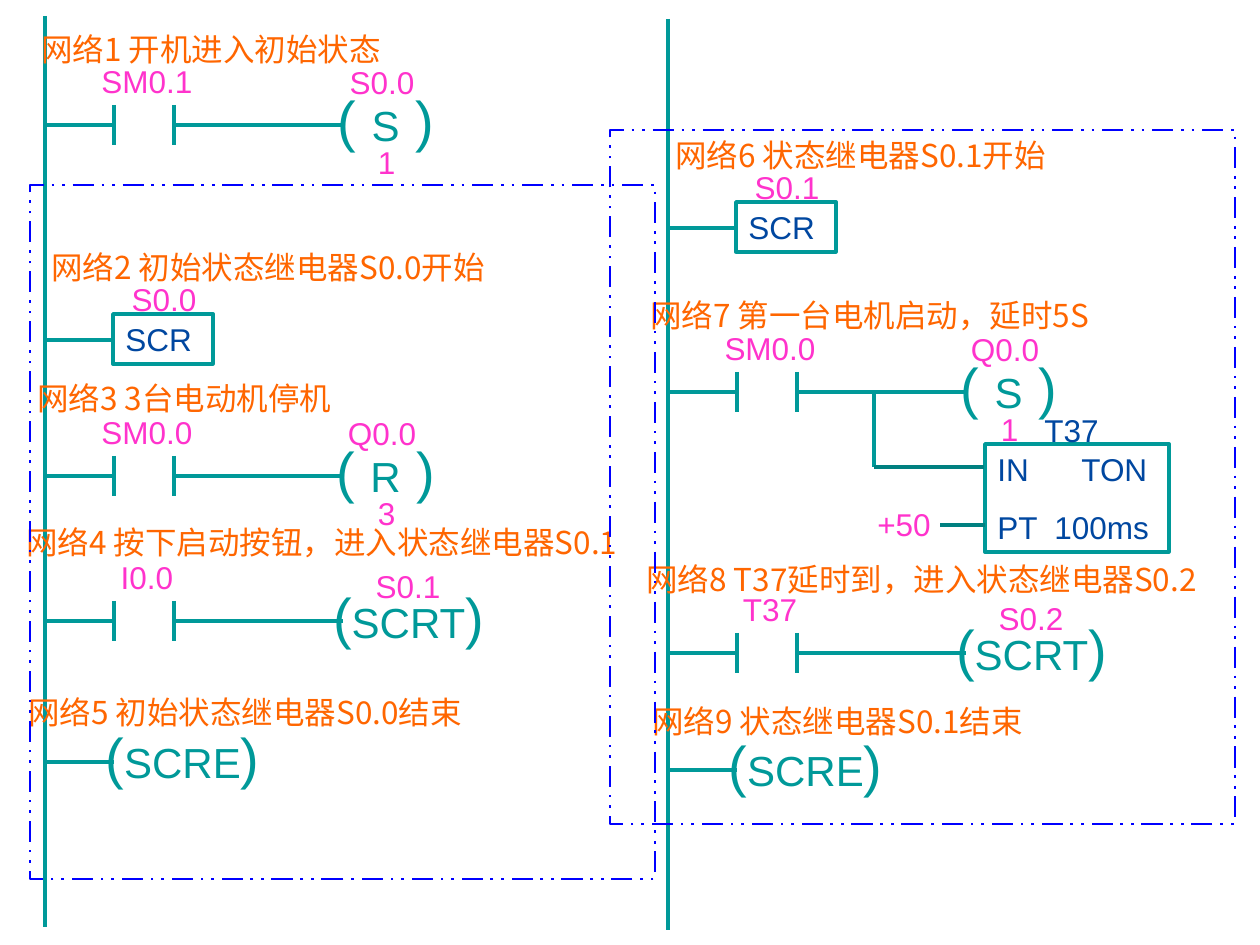
from lxml import etree
from pptx import Presentation, util as u
from pptx.dml.color import RGBColor
from pptx.enum import dml, shapes, text
from pptx.oxml.ns import qn

PX = 914400 / 126
TEAL, PINK, ORANGE, NAVY = "009999", "FF33CC", "FF6600", "0047A0"
DARK, BLUE = "008080", "0000FF"
CJK = "Noto Sans CJK SC"
LEFT, CENTER = text.PP_ALIGN.LEFT, text.PP_ALIGN.CENTER
FRAME = dict(word_wrap=True, vertical_anchor=text.MSO_ANCHOR.TOP,
             margin_left=u.Inches(0.1), margin_right=u.Inches(0.1),
             margin_top=u.Inches(0.05), margin_bottom=u.Inches(0.05))

prs = Presentation()
prs.slide_width, prs.slide_height = u.Inches(10), u.Inches(7.5)
s = prs.slides.add_slide(prs.slide_layouts[6])


def wire(x1, y1, x2, y2, colour=TEAL):
    c = s.shapes.add_connector(shapes.MSO_CONNECTOR.STRAIGHT,
                               *[u.Emu(round(v * PX)) for v in (x1, y1, x2, y2)])
    c.line.color.rgb = RGBColor.from_string(colour)
    c.line.width = u.Pt(2)
    etree.SubElement(c._element.spPr, qn("a:effectLst"))


def put(x, y, w, h, paragraphs, colour, align=CENTER, font="Arial", boxed=False):
    at = [u.Emu(round(v * PX)) for v in (x, y, w, h)]
    if boxed:
        sp = s.shapes.add_shape(shapes.MSO_SHAPE.RECTANGLE, *at)
        sp.shadow.inherit = False
        sp.fill.background()
        sp.line.color.rgb = RGBColor.from_string(TEAL)
        sp.line.width = u.Pt(2)
    else:
        sp = s.shapes.add_textbox(*at)
    tf = sp.text_frame
    for name, value in FRAME.items():
        setattr(tf, name, value)
    for i, runs in enumerate(paragraphs):
        p = tf.add_paragraph() if i else tf.paragraphs[0]
        p.alignment = align
        if i:
            p.space_before = u.Pt(11.2)
        for words, size in runs:
            r = p.add_run()
            r.text = words
            r.font.size = u.Pt(size)
            r.font.color.rgb = RGBColor.from_string(colour)
            r.font.name = font
            etree.SubElement(r.font._element, qn("a:ea"), typeface=font)
    return tf


LEFT_RAIL, RIGHT_RAIL = 45, 668
wire(LEFT_RAIL, 16, LEFT_RAIL, 927)
wire(RIGHT_RAIL, 19, RIGHT_RAIL, 930)

headings = [
    (29, 24, 393, "网络1 开机进入初始状态"),
    (39, 242, 486, "网络2 初始状态继电器S0.0开始"),
    (25, 373, 349, "网络3 3台电动机停机"),
    (14, 517, 665, "网络4 按下启动按钮，进入状态继电器S0.1"),
    (16, 687, 515, "网络5 初始状态继电器S0.0结束"),
    (663, 130, 486, "网络6 状态继电器S0.1开始"),
    (638, 290, 596, "网络7 第一台电机启动，延时5S"),
    (634, 554, 627, "网络8 T37延时到，进入状态继电器S0.2"),
    (640, 696, 452, "网络9 状态继电器S0.1结束"),
]
for x, y, w, words in headings:
    put(x, y, w, 50, [[(words, 18)]], ORANGE, LEFT, CJK)

rungs = [
    (LEFT_RAIL, 125, "SM0.1", "S0.0", "S", "1"),
    (LEFT_RAIL, 476, "SM0.0", "Q0.0", "R", "3"),
    (LEFT_RAIL, 621, "I0.0", "S0.1", "SCRT", None),
    (RIGHT_RAIL, 392, "SM0.0", "Q0.0", "S", "1"),
    (RIGHT_RAIL, 653, "T37", "S0.2", "SCRT", None),
]
for rail, y, contact, operand, coil, count in rungs:
    wire(rail, y, rail + 69, y)
    for x in (rail + 69, rail + 129):
        wire(x, y - 20, x, y + 20)
    wire(rail + 129, y, rail + 298, y)
    put(rail + 23, y - 69, 158, 50, [[(contact, 18)]], PINK)
    if count:
        put(rail + 284, y - 68, 106, 50, [[(operand, 18)]], PINK)
        put(rail + 256, y - 46, 169, 81, [[("( ", 32), (coil, 24), (" )", 32)]], TEAL)
        put(rail + 294, y + 12, 95, 50, [[(count, 18)]], PINK)
    else:
        put(rail + 310, y - 60, 106, 50, [[(operand, 18)]], PINK)
        put(rail + 262, y - 45, 203, 81, [[("(", 32), (coil, 24), (")", 32)]], TEAL)

for rail, y, operand in [(LEFT_RAIL, 340, "S0.0"), (RIGHT_RAIL, 228, "S0.1")]:
    wire(rail, y, rail + 68, y)
    put(rail + 66, y - 66, 106, 50, [[(operand, 18)]], PINK)
    put(rail + 68, y - 26, 100, 50, [[("SCR", 18)]], NAVY, LEFT, boxed=True)

for rail, y in [(LEFT_RAIL, 762), (RIGHT_RAIL, 770)]:
    wire(rail, y, rail + 69, y)
    put(rail + 36, y - 46, 203, 81, [[("(", 32), ("SCRE", 24), (")", 32)]], TEAL)

timer = put(985, 444, 184, 108, [[("IN\tTON", 18)], [("PT\t100ms", 18)]],
            NAVY, LEFT, boxed=True)
for p, stop in zip(timer.paragraphs, (84, 57)):
    tabs = etree.SubElement(p._p.get_or_add_pPr(), qn("a:tabLst"))
    etree.SubElement(tabs, qn("a:tab"), pos=str(round(stop * PX)), algn="l")
put(1032, 405, 84, 50, [[("T37", 18)]], NAVY, LEFT)
put(851, 499, 106, 50, [[("+50", 18)]], PINK)
wire(874, 392, 874, 467)
wire(984, 467, 874, 467, DARK)
wire(985, 525, 940, 525, DARK)

for x, y in [(30, 185), (610, 130)]:
    sp = s.shapes.add_shape(shapes.MSO_SHAPE.RECTANGLE,
                            *[u.Emu(round(v * PX)) for v in (x, y, 625, 694)])
    sp.shadow.inherit = False
    sp.fill.background()
    sp.line.color.rgb = RGBColor.from_string(BLUE)
    sp.line.width = u.Pt(1.5)
    sp.line.dash_style = dml.MSO_LINE.DASH_DOT_DOT

prs.save("out.pptx")
